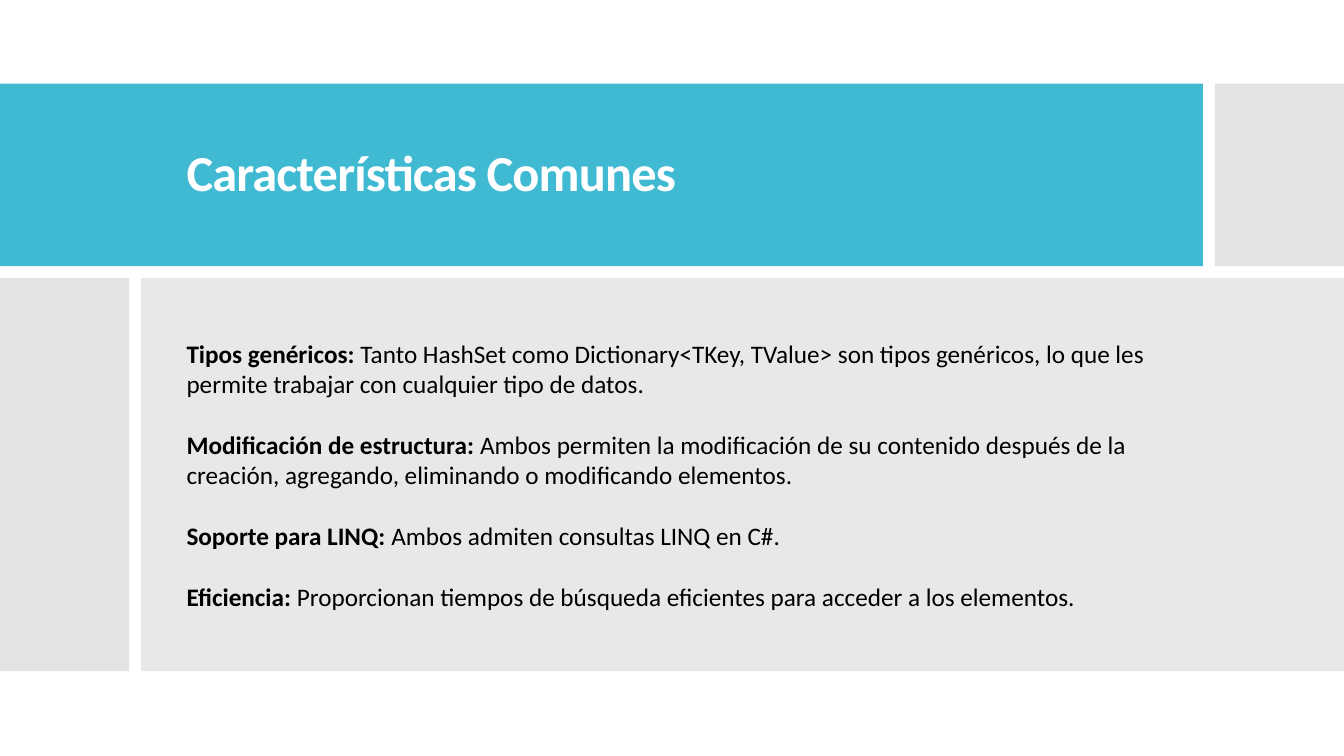
from dataclasses import dataclass

import pptx
import pptx.dml.color
import pptx.enum.shapes
import pptx.enum.text
import pptx.oxml
import pptx.oxml.ns
import pptx.util
from pptx.util import Inches


@dataclass(frozen=True)
class Theme:
    font: str = "Calibri"
    accent: str = "40BAD2"
    side: str = "C8C8C8"
    panel: str = "D9D9D9"
    light: str = "FFFFFF"
    dark: str = "000000"
    title_size: int = 36
    body_size: int = 18
    paragraph_gap: int = 22


@dataclass(frozen=True)
class Box:
    left: float
    top: float
    width: float
    height: float


THEME = Theme()
PAGE_WIDTH, PAGE_HEIGHT = 13.33, 7.5
GAP = 0.12
TEXT_LEFT, TEXT_WIDTH = 1.75, 9.82

FEATURES = [
    ("Tipos genéricos:", "Tanto HashSet como Dictionary<TKey, TValue> son tipos genéricos, "
     "lo que les permite trabajar con cualquier tipo de datos."),
    ("Modificación de estructura:", "Ambos permiten la modificación de su contenido después de la "
     "creación, agregando, eliminando o modificando elementos."),
    ("Soporte para LINQ:", "Ambos admiten consultas LINQ en C#."),
    ("Eficiencia:", "Proporcionan tiempos de búsqueda eficientes para acceder a los elementos."),
]


def add_block(page, box, color, opacity=100):
    block = page.shapes.add_shape(
        pptx.enum.shapes.MSO_SHAPE.RECTANGLE,
        Inches(box.left), Inches(box.top), Inches(box.width), Inches(box.height))
    block.shadow.inherit = False
    block.line.fill.background()
    block.fill.solid()
    block.fill.fore_color.rgb = pptx.dml.color.RGBColor.from_string(color)
    if opacity < 100:
        tint = block.element.spPr.find(".//" + pptx.oxml.ns.qn("a:srgbClr"))
        alpha = pptx.oxml.parse_xml(
            f'<a:alpha {pptx.oxml.ns.nsdecls("a")} val="{opacity * 1000}"/>')
        tint.append(alpha)


def place_placeholder(holder, box):
    holder.left, holder.top = Inches(box.left), Inches(box.top)
    holder.width, holder.height = Inches(box.width), Inches(box.height)
    holder.element.getparent().append(holder.element)
    frame = holder.text_frame
    frame.word_wrap = True
    frame.auto_size = pptx.enum.text.MSO_AUTO_SIZE.NONE
    frame.vertical_anchor = pptx.enum.text.MSO_ANCHOR.MIDDLE
    return frame


def add_text(para, text, size, color, bold=False, tracking=0):
    span = para.add_run()
    span.text = text
    span.font.name = THEME.font
    span.font.size = pptx.util.Pt(size)
    span.font.bold = bold
    span.font.color.rgb = pptx.dml.color.RGBColor.from_string(color)
    if tracking:
        span.font._element.set("spc", str(round(tracking * 100)))


def add_header(page, box):
    corner_width = 1.28
    banner_width = box.width - corner_width - GAP
    add_block(page, Box(box.left, box.top, banner_width, box.height), THEME.accent)
    add_block(page, Box(box.left + banner_width + GAP, box.top, corner_width, box.height),
              THEME.side, opacity=50)
    frame = place_placeholder(
        page.shapes.title,
        Box(box.left + TEXT_LEFT, box.top + 0.36, TEXT_WIDTH, box.height - 0.72))
    para = frame.paragraphs[0]
    para.alignment = pptx.enum.text.PP_ALIGN.LEFT
    para.line_spacing = 0.9
    add_text(para, "Características Comunes", THEME.title_size, THEME.light,
             bold=True, tracking=-0.6)


def add_features(page, box):
    side_width = 1.28
    panel_left = box.left + side_width + GAP
    add_block(page, Box(box.left, box.top, side_width, box.height), THEME.side, opacity=50)
    add_block(page, Box(panel_left, box.top, box.width - side_width - GAP, box.height),
              THEME.panel, opacity=60)
    frame = place_placeholder(
        page.placeholders[1], Box(box.left + TEXT_LEFT, box.top, TEXT_WIDTH, box.height))
    for index, (label, detail) in enumerate(FEATURES):
        para = frame.add_paragraph() if index else frame.paragraphs[0]
        para.space_before = pptx.util.Pt(THEME.paragraph_gap if index else 0)
        para.space_after = pptx.util.Pt(0)
        properties = para._p.get_or_add_pPr()
        properties.set("marL", "0")
        properties.set("indent", "0")
        properties.append(pptx.oxml.parse_xml(f'<a:buNone {pptx.oxml.ns.nsdecls("a")}/>'))
        add_text(para, label, THEME.body_size, THEME.dark, bold=True)
        add_text(para, " " + detail, THEME.body_size, THEME.dark)


def main():
    deck = pptx.Presentation()
    deck.slide_width, deck.slide_height = Inches(PAGE_WIDTH), Inches(PAGE_HEIGHT)
    page = deck.slides.add_slide(deck.slide_layouts[1])
    page.background.fill.solid()
    page.background.fill.fore_color.rgb = pptx.dml.color.RGBColor.from_string(THEME.light)
    header = Box(0, 0.83, PAGE_WIDTH, 1.81)
    features_top = header.top + header.height + GAP
    add_header(page, header)
    add_features(page, Box(0, features_top, PAGE_WIDTH, 3.9))
    deck.save("out.pptx")


if __name__ == "__main__":
    main()
